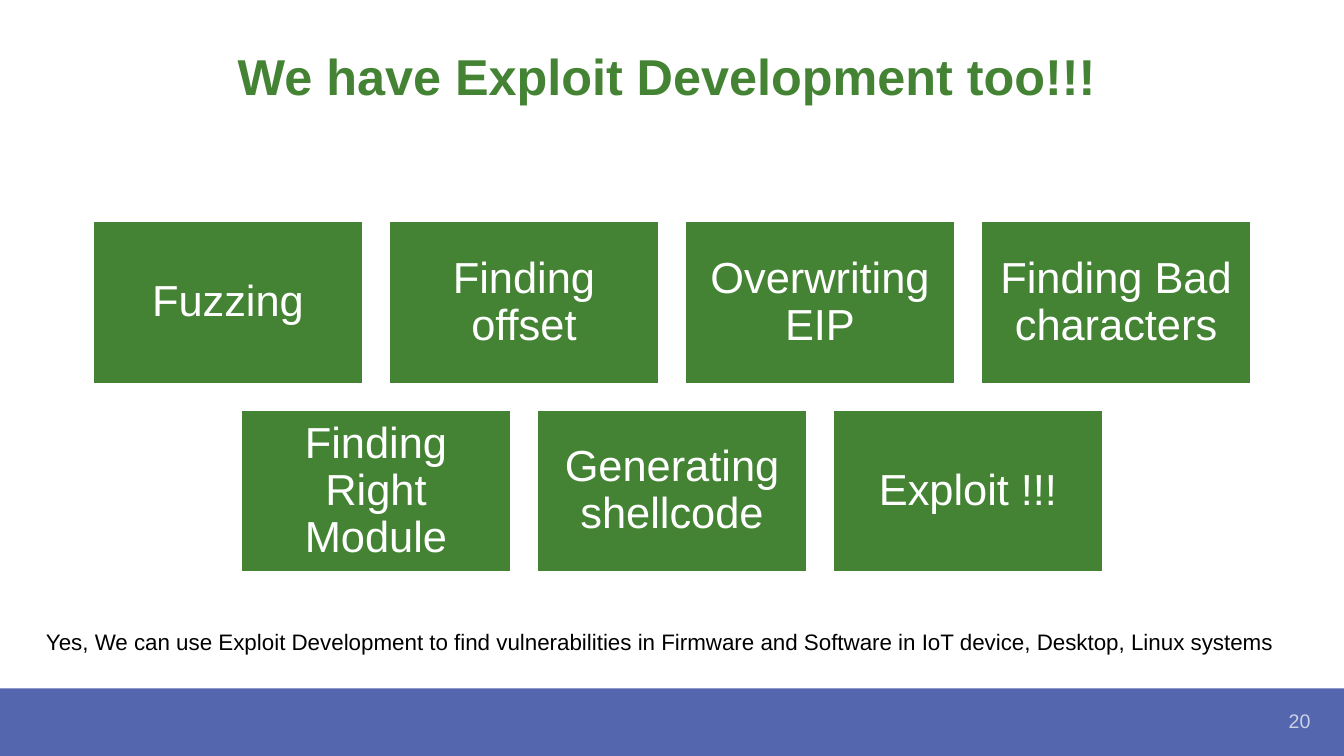
"""Build the exploit development slide with its seven-step block grid."""
from pptx import Presentation
from pptx.dml.color import RGBColor
from pptx.enum.shapes import MSO_SHAPE
from pptx.enum.text import MSO_ANCHOR, MSO_AUTO_SIZE, PP_ALIGN
from pptx.util import Cm, Pt

RECTANGLE = MSO_SHAPE.RECTANGLE
MIDDLE = MSO_ANCHOR.MIDDLE
NO_AUTOFIT = MSO_AUTO_SIZE.NONE
LEFT, CENTER = PP_ALIGN.LEFT, PP_ALIGN.CENTER

GREEN = RGBColor(0x44, 0x83, 0x34)
BLUE = RGBColor(0x54, 0x66, 0xAE)
PALE_BLUE = RGBColor(0xCC, 0xD1, 0xE7)
WHITE = RGBColor(0xFF, 0xFF, 0xFF)
BLACK = RGBColor(0x00, 0x00, 0x00)

SLIDE_WIDTH, SLIDE_HEIGHT = 33.87, 19.05
STEP_WIDTH, STEP_HEIGHT, STEP_GAP = 6.78, 4.07, 0.68
STEPS_TOP = 5.59
STEP_ROWS = [
    ["Fuzzing", "Finding offset", "Overwriting EIP", "Finding Bad characters"],
    ["Finding Right Module", "Generating shellcode", "Exploit !!!"],
]


class SlideBuilder:
    """Holds the current slide and the shared text style."""

    def __init__(self, slide, font_name="Arial", line_spacing=0.9):
        self.slide = slide
        self.font_name = font_name
        self.line_spacing = line_spacing

    def set_text(self, shape, text, size, color, align=CENTER, bold=False, insets=(0.25, 0.13, 0.25, 0.13)):
        frame = shape.text_frame
        frame.text = text
        frame.word_wrap = True
        frame.auto_size = NO_AUTOFIT
        frame.vertical_anchor = MIDDLE
        frame.margin_left, frame.margin_top, frame.margin_right, frame.margin_bottom = map(Cm, insets)
        paragraph = frame.paragraphs[0]
        paragraph.alignment = align
        paragraph.line_spacing = self.line_spacing
        font = paragraph.font
        font.name, font.size, font.bold = self.font_name, Pt(size), bold
        font.color.rgb = color

    def title(self, text, left, top, width, height):
        title = self.slide.shapes.title
        title.left, title.top, title.width, title.height = map(Cm, (left, top, width, height))
        self.set_text(title, text, 36, GREEN, bold=True, insets=(0, 0.13, 0.25, 0.13))

    def text(self, text, left, top, width, height, size, color, **style):
        box = self.slide.shapes.add_textbox(*map(Cm, (left, top, width, height)))
        self.set_text(box, text, size, color, **style)

    def block(self, left, top, width, height, color):
        block = self.slide.shapes.add_shape(RECTANGLE, *map(Cm, (left, top, width, height)))
        block.shadow.inherit = False
        block.fill.solid()
        block.fill.fore_color.rgb = color
        block.line.fill.background()
        return block

    def step(self, label, left, top):
        step = self.block(left, top, STEP_WIDTH, STEP_HEIGHT, GREEN)
        step.line.color.rgb = WHITE
        step.line.width = Pt(1)
        self.set_text(step, label, 31, WHITE, insets=(0.33,) * 4)

    def step_row(self, labels, top):
        pitch = STEP_WIDTH + STEP_GAP
        row_left = (SLIDE_WIDTH - len(labels) * pitch + STEP_GAP) / 2
        for column, label in enumerate(labels):
            self.step(label, row_left + column * pitch, top)


def main():
    deck = Presentation()
    deck.slide_width, deck.slide_height = Cm(SLIDE_WIDTH), Cm(SLIDE_HEIGHT)
    builder = SlideBuilder(deck.slides.add_slide(deck.slide_layouts[5]))
    builder.block(0, 17.35, SLIDE_WIDTH, 1.7, BLUE)
    builder.title("We have Exploit Development too!!!", 2.33, 0.15, 29.21, 3.68)
    builder.text("20", 32.13, 17.7, 1.24, 1.02, 14, PALE_BLUE, insets=(0,) * 4)
    for row, labels in enumerate(STEP_ROWS):
        builder.step_row(labels, STEPS_TOP + row * (STEP_HEIGHT + STEP_GAP))
    builder.text(
        "Yes, We can use Exploit Development to find vulnerabilities in Firmware "
        "and Software in IoT device, Desktop, Linux systems",
        0.91, 15.77, 32.05, 0.86, 16, BLACK, align=LEFT,
    )
    deck.save("out.pptx")


if __name__ == "__main__":
    main()
